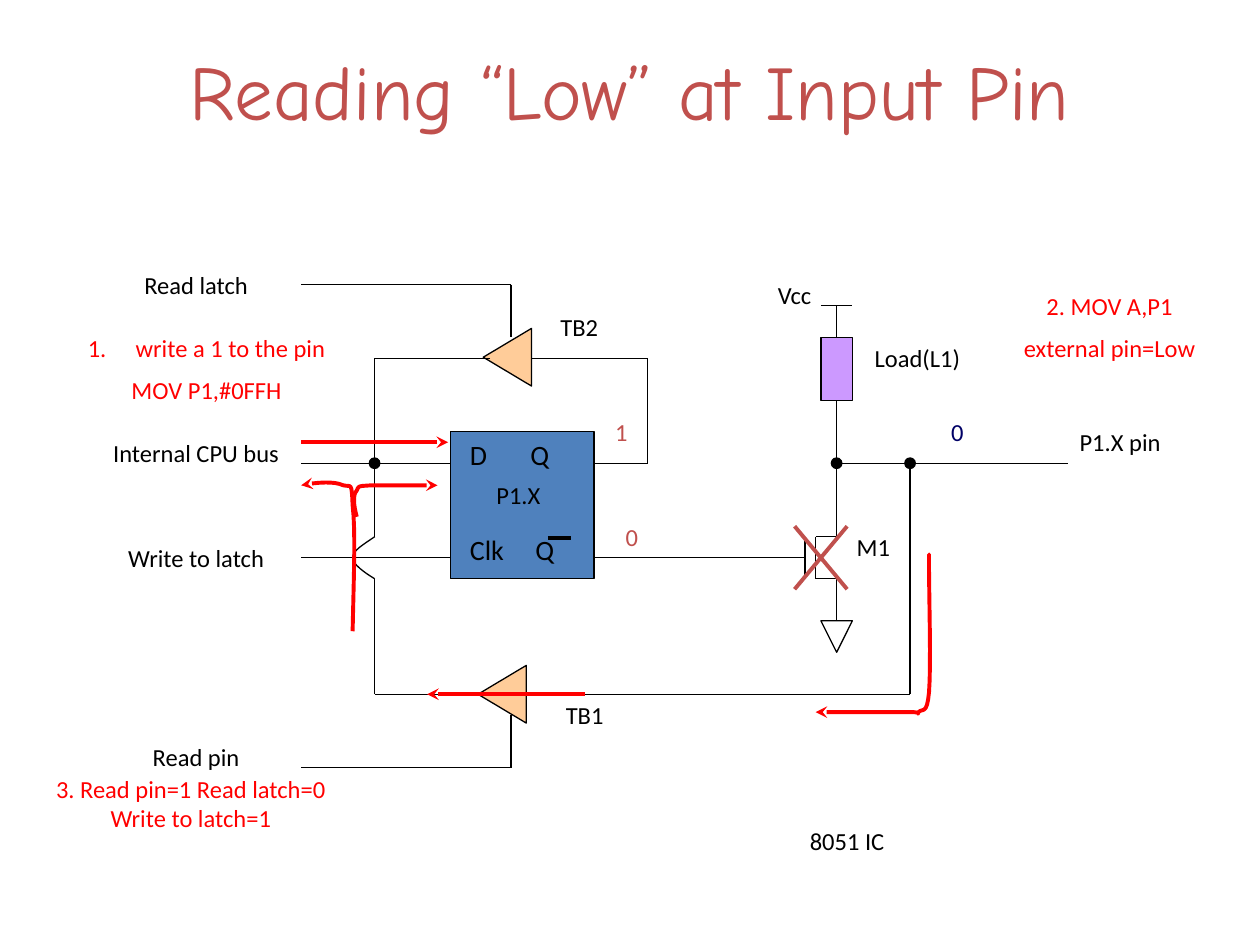
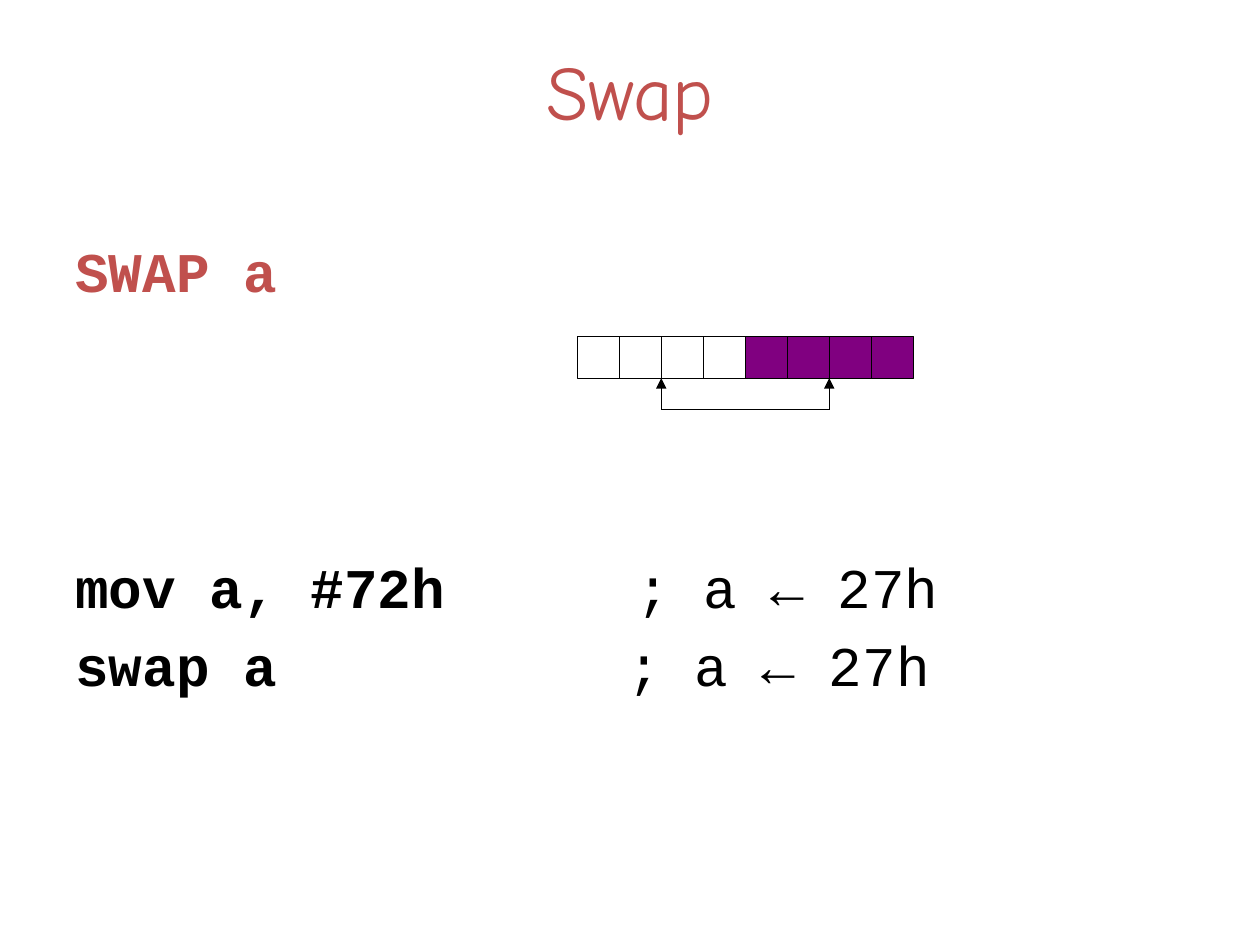
"""Builds two slides: reading a low input pin, and the swap instruction."""
from dataclasses import dataclass
from itertools import pairwise

from lxml.etree import SubElement
from pptx import Presentation
from pptx.dml.color import RGBColor
from pptx.enum.shapes import MSO_CONNECTOR, MSO_SHAPE
from pptx.enum.text import MSO_ANCHOR, PP_ALIGN
from pptx.oxml.ns import qn
from pptx.util import Inches, Pt


@dataclass(frozen=True)
class Theme:
    black: str = "000000"
    accent: str = "C0504D"
    red: str = "FF0000"
    navy: str = "000066"
    latch: str = "4F81BD"
    buffer: str = "FFCC99"
    load: str = "CC99FF"
    nibble: str = "800080"
    title_font: str = "Comic Neue"
    body_font: str = "Calibri"
    code_font: str = "Courier New"
    title_size: int = 44
    code_size: int = 32
    latch_size: int = 16
    label_size: int = 14
    thin: float = 0.75
    bar: float = 2
    thick: float = 2.25


T = Theme()
UNIT, LEFT, TOP = 1 / 12, 2.39, 2.26

PARTS = [
    (MSO_SHAPE.RECTANGLE, (14.2, 14, 13.7, 14), 0, T.latch),
    (MSO_SHAPE.ISOSCELES_TRIANGLE, (16.9, 4.6, 5.5, 4.6), 270, T.buffer),
    (MSO_SHAPE.ISOSCELES_TRIANGLE, (16.4, 36.7, 5.5, 4.6), 270, T.buffer),
    (MSO_SHAPE.RECTANGLE, (49.5, 5, 3, 6), 0, T.load),
    (MSO_SHAPE.ISOSCELES_TRIANGLE, (49.5, 32, 3, 3), 180, None),
]
JUNCTIONS = [(7, 17), (51, 17), (58, 17)]
WIRES = [
    [(0, 0), (20, 0), (20, 5)],
    [(0, 46), (20, 46), (20, 41)],
    [(0, 17), (14.2, 17)],
    [(0, 26), (14.2, 26)],
    [(22, 7), (33, 7), (33, 17), (28, 17)],
    [(18, 7), (7, 7), (7, 24)],
    [(7, 28), (7, 39), (17, 39)],
    [(28, 26), (48, 26)],
    [(48, 24), (48, 28)],
    [(51, 11), (51, 24), (49, 24), (49, 28), (51, 28), (51, 32)],
    [(49.5, 2), (52.5, 2)],
    [(51, 2), (51, 5)],
    [(51, 17), (73, 17)],
    [(58, 17), (58, 39), (22, 39)],
]
WIRE_HOP = [(7, 24), (6, 24.7), (4.9, 25.3), (4.9, 26),
            (4.9, 26.6), (6, 27.4), (7, 28)]
SIGNAL_CURVES = [
    [(59.8, 26.2), (59.8, 25.6), (59.8, 25.1), (59.8, 27.2),
     (59.8, 29.3), (60, 36.5), (59.8, 38.8),
     (59.6, 41), (59.2, 40.3), (58.8, 40.7),
     (58.4, 41), (59.5, 40.7), (57.9, 40.7),
     (56.2, 40.7), (52.6, 40.7), (49, 40.7)],
    [(4.9, 33), (5, 28.2), (5.2, 23.4), (4.9, 21),
     (4.8, 18.7), (4.8, 19.3), (4, 19.1),
     (3.1, 18.7), (1.6, 18.8), (0, 19.1)],
    [(5.3, 22.1), (5, 21), (4.9, 20), (5.3, 19.6),
     (5.5, 19.1), (5.5, 19.2), (6.7, 19.1),
     (8, 19.1), (10.6, 19.1), (13, 19.1)],
]
SIGNAL_ARROWS = [[(27, 39), (12, 39)], [(0, 15), (14, 15)]]
CROSS = [[(47, 23), (52, 29)], [(52, 23), (47, 29)]]
Q_BAR = [(23.5, 24.1), (25.7, 24.1)]
LATCH_ROWS = [("D\tQ", 0.48, 0), ("Clk\tQ", 0.52, 35)]
LABELS = [
    ("Read latch", -20, -2, 20, T.black),
    ("Internal CPU bus", -20, 14, 20, T.black),
    ("Write to latch", -20, 24, 20, T.black),
    ("Read pin", -20, 43, 20, T.black),
    ("TB2", 21, 2, 11, T.black),
    ("TB1", 20, 39, 14, T.black),
    ("P1.X", 14.7, 18, 12, T.black),
    ("Vcc", 43, -1, 8, T.black),
    ("Load(L1)", 51.2, 5, 15, T.black),
    ("M1", 51, 23, 7, T.black),
    ("P1.X pin", 72, 13, 12, T.black),
    ("8051 IC", 38, 51, 28, T.black),
    ("1", 28, 12, 5, T.accent),
    ("0", 29, 22, 5, T.accent),
    ("0", 60, 12, 5, T.navy),
    ("2. MOV A,P1\nexternal pin=Low", 65, 0, 24, T.red),
    ("3. Read pin=1 Read latch=0 Write to latch=1", -25, 46, 29, T.red),
]
WRITE_STEP = ("write a 1 to the pin\nMOV P1,#0FFH", -27, 4, 36, T.red)

STRIP_COL, STRIP_ROW, BIT = 26.3, 4.9, 4
BITS = [None] * 4 + [T.nibble] * 4
CODE = [
    ("SWAP a", "", T.accent, 0, 0),
    ("mov a, #72h", "; a ← 27h", T.black, 4.45, 142),
    ("swap a", "; a ← 27h", T.black, 4.38, 6.4),
]


def point(col, row):
    return int(Inches(LEFT + col * UNIT)), int(Inches(TOP + row * UNIT))


def frame(col, row, cols, rows):
    return *point(col, row), int(Inches(cols * UNIT)), int(Inches(rows * UNIT))


def style_line(sp, color, width, head=None):
    sp.line.color.rgb = RGBColor.from_string(color)
    sp.line.width = Pt(width)
    if head:
        SubElement(sp.line._get_or_add_ln(), qn("a:tailEnd"), type=head)


def add_path(slide, pts, color=T.black, width=T.thin, head=None):
    for a, b in pairwise(pts):
        line = slide.shapes.add_connector(MSO_CONNECTOR.STRAIGHT, *point(*a), *point(*b))
        style_line(line, color, width, head)
        SubElement(line._element.spPr, qn("a:effectLst"))


def add_curve(slide, pts, color=T.black, width=T.thin, head=None, steps=8):
    path = [point(*pts[0])]
    for i in range(0, len(pts) - 1, 3):
        for n in range(1, steps + 1):
            t = n / steps
            weights = ((1 - t) ** 3, 3 * t * (1 - t) ** 2, 3 * t * t * (1 - t), t ** 3)
            path.append(point(*(sum(w * p[axis] for w, p in zip(weights, pts[i:i + 4]))
                                for axis in (0, 1))))
    builder = slide.shapes.build_freeform(*path[0])
    builder.add_line_segments(path[1:], close=False)
    sp = builder.convert_to_shape()
    sp.shadow.inherit = False
    sp.fill.background()
    style_line(sp, color, width, head)


def add_part(slide, kind, box, rotation=0, fill=None):
    sp = slide.shapes.add_shape(kind, *frame(*box))
    sp.shadow.inherit = False
    sp.rotation = rotation
    if fill:
        sp.fill.solid()
        sp.fill.fore_color.rgb = RGBColor.from_string(fill)
    else:
        sp.fill.background()
    style_line(sp, T.black, T.thin)


def style_run(r, font, size, color, bold=False):
    r.font.name, r.font.size, r.font.bold = font, Pt(size), bold
    r.font.color.rgb = RGBColor.from_string(color)


def add_box(slide, box):
    tf = slide.shapes.add_textbox(*box).text_frame
    tf.word_wrap = True
    tf.vertical_anchor = MSO_ANCHOR.TOP
    return tf


def add_tab(p, inches):
    tabs = SubElement(p._p.get_or_add_pPr(), qn("a:tabLst"))
    SubElement(tabs, qn("a:tab"), pos=str(int(Inches(inches))), algn="l")


def add_label(slide, text, col, row, cols, color):
    tf = add_box(slide, frame(col, row, cols, 4 * (text.count("\n") + 1)))
    tf.text = text
    for i, p in enumerate(tf.paragraphs):
        p.alignment = PP_ALIGN.CENTER
        if i:
            p.space_before = Pt(T.label_size / 2)
        for r in p.runs:
            style_run(r, T.body_font, T.label_size, color)
    return tf


def add_slide(prs, title):
    slide = prs.slides.add_slide(prs.slide_layouts[6])
    w, h = prs.slide_width, prs.slide_height
    tf = add_box(slide, (int(w * 0.05), int(h * 0.04), int(w * 0.9), int(h / 6)))
    p = tf.paragraphs[0]
    p.text = title
    p.alignment = PP_ALIGN.CENTER
    style_run(p.runs[0], T.title_font, T.title_size, T.accent)
    return slide


def build_pin_slide(prs):
    slide = add_slide(prs, "Reading “Low” at Input Pin")
    for part in PARTS:
        add_part(slide, *part)
    for wire in WIRES:
        add_path(slide, wire)
    add_curve(slide, WIRE_HOP)
    for col, row in JUNCTIONS:
        add_part(slide, MSO_SHAPE.OVAL, (col - 0.5, row - 0.5, 1, 1), fill=T.black)
    tf = add_box(slide, frame(14.9, 14, 12.2, 14))
    tf.text = "\n".join(text for text, _, _ in LATCH_ROWS)
    for p, (_, tab, gap) in zip(tf.paragraphs, LATCH_ROWS):
        if gap:
            p.space_before = Pt(gap)
        add_tab(p, tab)
        for r in p.runs:
            style_run(r, T.body_font, T.latch_size, T.black)
    add_path(slide, Q_BAR, width=T.bar)
    for label in LABELS:
        add_label(slide, *label)
    tf = add_label(slide, *WRITE_STEP)
    for p in tf.paragraphs:
        pPr = p._p.get_or_add_pPr()
        pPr.set("marL", str(Inches(0.38)))
        pPr.set("indent", str(-Inches(0.38)))
    SubElement(tf.paragraphs[0]._p.pPr, qn("a:buAutoNum"), type="arabicPeriod")
    for arrow in SIGNAL_ARROWS:
        add_path(slide, arrow, T.red, T.thick, "stealth")
    for curve in SIGNAL_CURVES:
        add_curve(slide, curve, T.red, T.thick, "stealth")
    for stroke in CROSS:
        add_path(slide, stroke, T.accent, T.thick)


def build_swap_slide(prs):
    slide = add_slide(prs, "Swap")
    w, h = prs.slide_width, prs.slide_height
    tf = add_box(slide, (int(w * 0.05), Inches(1.83), int(w * 0.9), int(h * 0.65)))
    for i, (code, comment, color, tab, gap) in enumerate(CODE):
        p = tf.add_paragraph() if i else tf.paragraphs[0]
        if gap:
            p.space_before = Pt(gap)
        if comment:
            add_tab(p, tab)
        for text, bold in ((code, True), (comment and "\t" + comment, False)):
            if text:
                r = p.add_run()
                r.text = text
                style_run(r, T.code_font, T.code_size, color, bold)
    for i, fill in enumerate(BITS):
        add_part(slide, MSO_SHAPE.RECTANGLE,
                 (STRIP_COL + i * BIT, STRIP_ROW, BIT, BIT), fill=fill)
    low, high = STRIP_ROW + BIT + 3, STRIP_ROW + BIT
    centres = [STRIP_COL + n * BIT for n in (2, 6)]
    add_path(slide, [(col, low) for col in centres])
    for col in centres:
        add_path(slide, [(col, low), (col, high)], head="triangle")


def main():
    prs = Presentation()
    prs.slide_width, prs.slide_height = Inches(10), Inches(7.5)
    build_pin_slide(prs)
    build_swap_slide(prs)
    prs.save("out.pptx")


if __name__ == "__main__":
    main()
